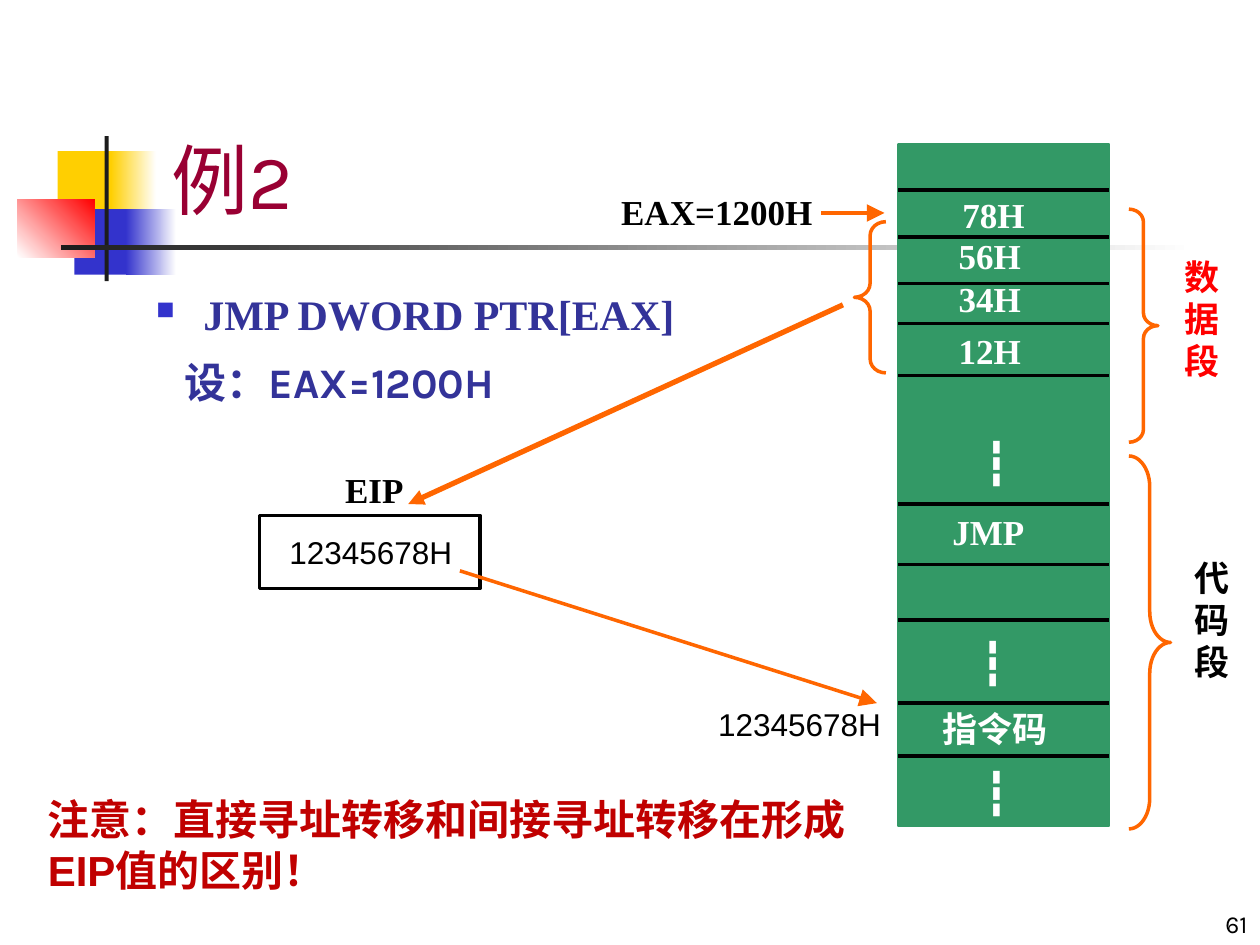
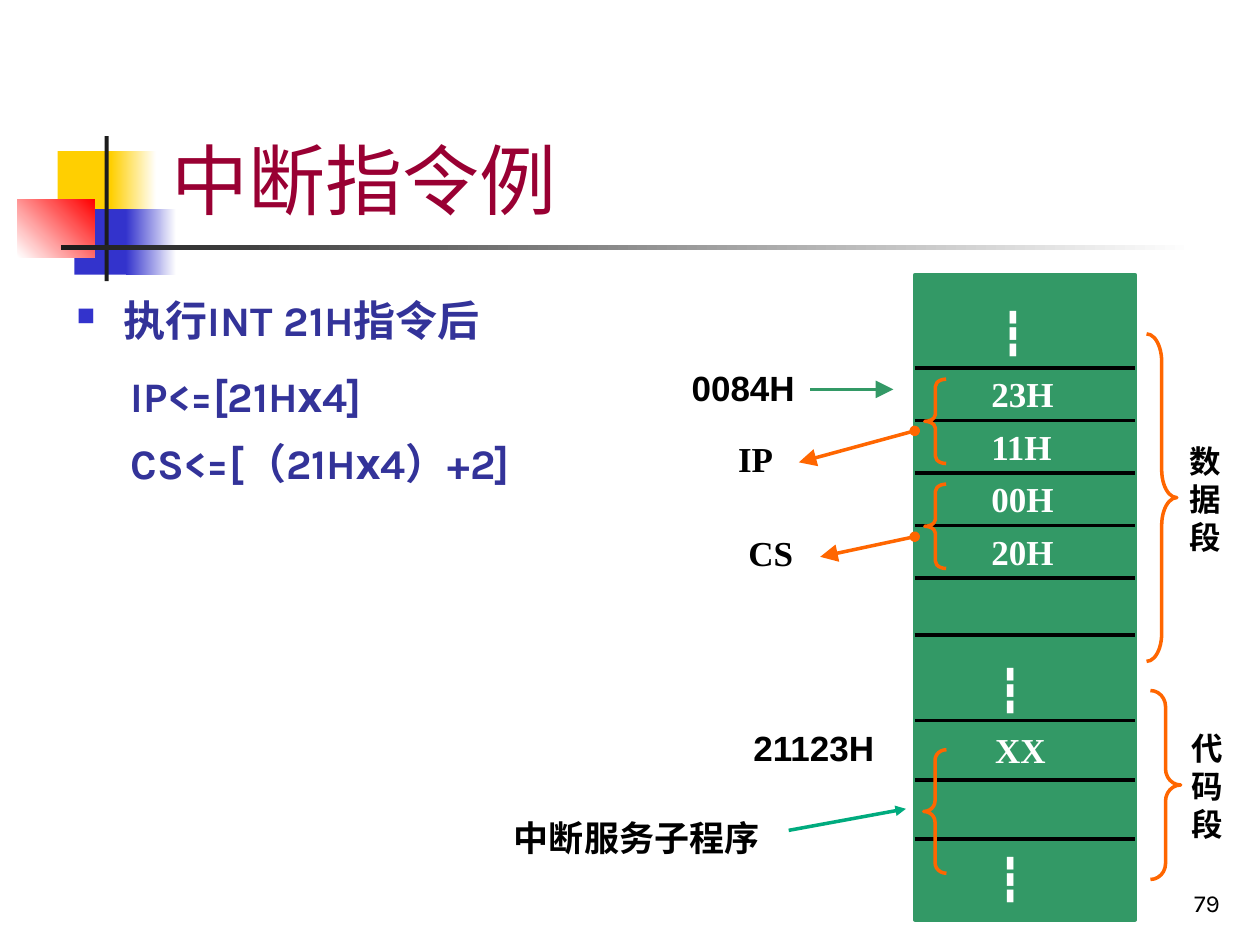
from lxml.etree import SubElement
from pptx import Presentation
from pptx.dml.color import RGBColor
from pptx.enum.shapes import MSO_CONNECTOR, MSO_SHAPE
from pptx.enum.text import MSO_ANCHOR, PP_ALIGN
from pptx.oxml.ns import qn
from pptx.util import Pt

WHITE = RGBColor(0xFF, 0xFF, 0xFF)
BLACK = RGBColor(0x00, 0x00, 0x00)
INK = RGBColor(0x1C, 0x1C, 0x1C)
YELLOW = RGBColor(0xFF, 0xCF, 0x01)
BLUE = RGBColor(0x33, 0x33, 0xCC)
NAVY = RGBColor(0x33, 0x33, 0x99)
RED = RGBColor(0xFF, 0x00, 0x00)
DARK_RED = RGBColor(0xC0, 0x00, 0x00)
WINE = RGBColor(0x99, 0x00, 0x33)
GREEN = RGBColor(0x33, 0x99, 0x66)
TEAL = RGBColor(0x00, 0xAB, 0x7E)
ORANGE = RGBColor(0xFF, 0x66, 0x00)

SERIF, SANS, THEME = "Times New Roman", "Arial", "Karla"
LEFT_BRACE, RIGHT_BRACE = MSO_SHAPE.LEFT_BRACE, MSO_SHAPE.RIGHT_BRACE

# Text styles: font values, plus box height, anchor and alignment
STYLES = {
    "title": dict(name=THEME, size=44, color=WINE, height=115.2, anchor=MSO_ANCHOR.BOTTOM),
    "number": dict(name=THEME, size=14, color=BLACK, height=36,
                   anchor=MSO_ANCHOR.BOTTOM, align=PP_ALIGN.RIGHT),
    "cell": dict(name=SERIF, size=20, color=WHITE, bold=True, height=31),
    "dots": dict(name=SERIF, size=24, color=WHITE, bold=True, height=36),
    "label": dict(name=SERIF, size=20, color=BLACK, bold=True, height=31),
    "strong": dict(name=SANS, size=20, color=BLACK, bold=True, height=31),
    "address": dict(name=SANS, size=18, color=BLACK, height=28.8),
    "register": dict(name=SANS, size=18, color=BLACK, height=41.8, anchor=MSO_ANCHOR.MIDDLE),
    "note": dict(name=SANS, size=24, color=DARK_RED, bold=True, height=65.5),
    "data segment": dict(name=SERIF, size=20, color=RED, bold=True, height=79.2),
    "code segment": dict(name=SERIF, size=20, color=BLACK, bold=True, height=79.2),
    "segment": dict(name=SERIF, size=18, color=BLACK, bold=True, height=72,
                    align=PP_ALIGN.CENTER),
}

# Corner ornament: left, top, width, height, colours, gradient angle
ORNAMENT = [
    (33, 86.4, 34.6, 37.4, [YELLOW], 0),
    (63.4, 86.4, 25.9, 37.4, [YELLOW, WHITE], 0),
    (42.5, 119.5, 33.1, 37.4, [BLUE], 0),
    (72, 119.5, 28.8, 37.4, [BLUE, WHITE], 0),
    (10.1, 113.8, 43.9, 33.1, [WHITE, RED], 45),
    (59.8, 77.8, 2.3, 82.8, [INK], 0),
    (34.6, 140.2, 648, 2.4, [INK, WHITE], 0),
]

# body lines: text, font, first-line indent without bullet (None = bullet), space after
# texts: text, left, top, width, style
# braces: kind, left, top, width, height, curl
# arrows: start, end, colour, line width, head size, start mark
CELL_STEP = 30
FIRST_CELL = 210.2
SLIDES = [
    dict(
        title="例2", number=("61", 570.2, 504, 149.8),
        body=(82.1, 157, 393.1, 116.6, 1.15),
        lines=[("JMP DWORD PTR[EAX]", SERIF, None, 1.4),
               ("设：EAX=1200H", THEME, 16.5, 1.4)],
        memory=(513.4, 82.8, 120.2, 388.8),
        rules=[108.7, 135.4, 162, 185, 214.6, 288, 322.6, 354.2, 401.8, 432],
        register=(148.3, 294.5, 126, 41.8),
        texts=[
            ("78H", 542.9, 107.3, 84.2, "cell"),
            ("56H", 540.7, 130.3, 84.2, "cell"),
            ("34H", 540.7, 154.8, 84.2, "cell"),
            ("12H", 540.7, 185, 84.2, "cell"),
            ("JMP", 537.1, 288, 84.2, "cell"),
            ("指令码", 531.4, 401, 102.2, "cell"),
            ("┇", 555.1, 246.2, 41.8, "dots"),
            ("┇", 553, 360, 41.8, "dots"),
            ("┇", 555.1, 434.2, 41.8, "dots"),
            ("数据段", 669.6, 142.6, 36.7, "data segment"),
            ("代码段", 675.4, 314.6, 41.8, "code segment"),
            ("EAX=1200H", 347.8, 105.1, 126, "label"),
            ("EIP", 190.1, 264.2, 51.1, "label"),
            ("12345678H", 158.3, 294.5, 116, "register"),
            ("12345678H", 403.2, 399.6, 108.7, "address"),
            ("注意：直接寻址转移和间接寻址转移在形成EIP值的区别！", 20.2, 450, 478.8, "note"),
        ],
        braces=[
            (RIGHT_BRACE, 645.1, 119.5, 16.6, 133.2, 0.44),
            (RIGHT_BRACE, 645.1, 260.6, 23.8, 213.1, 0.74),
            (LEFT_BRACE, 488.2, 126.7, 18, 86.4, 0.44),
        ],
        arrows=[
            ((469.4, 121.7), (505.4, 121.7), ORANGE, 2, "lg", None),
            ((481.7, 174.2), (233.3, 288), ORANGE, 3, "med", None),
            ((262.8, 326.2), (501.1, 401.8), ORANGE, 2, "lg", None),
        ],
    ),
    dict(
        title="中断指令例", number=("79", 554.4, 491.8, 149.8),
        body=(36.7, 162, 329.8, 238.3, 1.1),
        lines=[("执行INT 21H指令后", THEME, None, 7.2),
               ("IP<=[21Hх4]", THEME, 31, 2.4),
               ("CS<=[（21Hх4）+2]", THEME, 31, 1.4)],
        memory=(522.7, 157, 126, 368.6),
        rules=[FIRST_CELL + CELL_STEP * row for row in range(5)]
        + [362.9, 411.8, 445.7, 479.5],
        register=None,
        texts=[(value, 559.4, FIRST_CELL - 0.7 + CELL_STEP * row, 84.2, "cell")
               for row, value in enumerate(["23H", "11H", "00H", "20H"])] + [
            ("XX", 561.6, 412.6, 72.7, "cell"),
            ("┇", 564.5, 171.4, 41.8, "dots"),
            ("┇", 563, 375.8, 41.8, "dots"),
            ("┇", 563, 483.8, 41.8, "dots"),
            ("数据段", 671, 249.1, 36, "segment"),
            ("代码段", 671.8, 413.3, 36, "segment"),
            ("0084H", 388.1, 206, 90, "strong"),
            ("21123H", 423.4, 411.8, 90, "strong"),
            ("中断服务子程序", 286.6, 463, 187.2, "strong"),
            ("IP", 414.7, 246.2, 48.2, "label"),
            ("CS", 420.5, 300.2, 54, "label"),
        ],
        braces=[
            (LEFT_BRACE, 528.5, 216.7, 12.2, 48.2, 0.33),
            (LEFT_BRACE, 528.5, 276.7, 12.2, 48.2, 0.33),
            (LEFT_BRACE, 527.8, 428.4, 13, 70.6, 0.46),
            (RIGHT_BRACE, 655.2, 190.8, 17.3, 187.2, 0.92),
            (RIGHT_BRACE, 657.4, 394.6, 17.3, 108, 0.53),
        ],
        arrows=[
            ((462.9, 222.5), (510.5, 222.5), GREEN, 2, "lg", None),
            ((522.7, 246.2), (456.5, 264.2), ORANGE, 2, "lg", "oval"),
            ((522.7, 306.7), (468.7, 318.2), ORANGE, 2, "lg", "oval"),
            ((450.7, 474.5), (517.7, 462.2), TEAL, 2, "med", None),
        ],
    ),
]


def points(*values):
    return [Pt(value) for value in values]


def add_figure(page, kind, frame, fills=(), line=None, angle=0):
    """Preset shape with no, one or two fill colours and an optional 2 pt line."""
    figure = page.shapes.add_shape(kind, *points(*frame))
    figure.shadow.inherit = False
    if len(fills) == 2:
        figure.fill.gradient()
        figure.fill.gradient_angle = angle
        for stop, color in zip(figure.fill.gradient_stops, fills):
            stop.color.rgb = color
    elif fills:
        figure.fill.solid()
        figure.fill.fore_color.rgb = fills[0]
    else:
        figure.fill.background()
    if line is None:
        figure.line.fill.background()
    else:
        figure.line.color.rgb = line
        figure.line.width = Pt(2)
    return figure


def add_line(page, start, end, color, width=2):
    line = page.shapes.add_connector(MSO_CONNECTOR.STRAIGHT, *points(*start, *end))
    line.line.color.rgb = color
    line.line.width = Pt(width)
    SubElement(line._element.spPr, qn("a:effectLst"))
    return line


def add_arrow(page, start, end, color, width, size, mark):
    outline = add_line(page, start, end, color, width).line._get_or_add_ln()
    if mark:
        SubElement(outline, qn("a:headEnd"), type=mark)
    SubElement(outline, qn("a:tailEnd"), type="triangle", w=size, len=size)


def format_font(font, values):
    for key in ("name", "size", "bold"):
        if key in values:
            setattr(font, key, Pt(values[key]) if key == "size" else values[key])
    font.color.rgb = values["color"]


def add_text(page, text, left, top, width, style):
    values = STYLES[style]
    box = page.shapes.add_textbox(*points(left, top, width, values["height"]))
    frame = box.text_frame
    frame.word_wrap = True
    frame.vertical_anchor = values.get("anchor", MSO_ANCHOR.TOP)
    para = frame.paragraphs[0]
    para.alignment = values.get("align", PP_ALIGN.LEFT)
    span = para.add_run()
    span.text = text
    format_font(span.font, values)


def set_indent(para, indent):
    """Square bullet with hanging indent, or a plain indent."""
    properties = para._p.get_or_add_pPr()
    if indent is not None:
        properties.set("marL", str(Pt(indent)))
        properties.set("indent", "0")
        return
    properties.set("marL", str(Pt(27)))
    properties.set("indent", str(-Pt(27)))
    color = SubElement(properties, qn("a:buClr"))
    SubElement(color, qn("a:srgbClr"), val=str(BLUE))
    SubElement(properties, qn("a:buSzPct"), val="60000")
    SubElement(properties, qn("a:buChar"), char="■")


def add_body(page, left, top, width, height, spacing, lines):
    frame = page.shapes.add_textbox(*points(left, top, width, height)).text_frame
    frame.word_wrap = True
    for index, (text, font, indent, after) in enumerate(lines):
        para = frame.add_paragraph() if index else frame.paragraphs[0]
        set_indent(para, indent)
        para.line_spacing = spacing
        para.space_before = Pt(4.2 if index else 0)
        para.space_after = Pt(after)
        span = para.add_run()
        span.text = text
        format_font(span.font, dict(name=font, size=24, bold=True, color=NAVY))


def build_page(deck, content):
    page = deck.slides.add_slide(deck.slide_layouts[6])
    # Shared frame: ornament, title, page number
    for *frame, colors, angle in ORNAMENT:
        add_figure(page, MSO_SHAPE.RECTANGLE, frame, colors, angle=angle)
    add_text(page, content["title"], 90.7, 16.6, 613.4, "title")
    add_text(page, *content["number"], "number")
    add_body(page, *content["body"], content["lines"])
    # Memory column and its cell borders
    left, _, width, _ = content["memory"]
    add_figure(page, MSO_SHAPE.RECTANGLE, content["memory"], [GREEN], GREEN)
    for y in content["rules"]:
        add_line(page, (left, y), (left + width, y), BLACK)
    # Register, labels, braces and arrows
    if content["register"]:
        add_figure(page, MSO_SHAPE.RECTANGLE, content["register"], line=BLACK)
    for text in content["texts"]:
        add_text(page, *text)
    for kind, *frame, curl in content["braces"]:
        brace = add_figure(page, kind, frame, line=ORANGE)
        brace.adjustments[0] = curl
    for arrow in content["arrows"]:
        add_arrow(page, *arrow)


def main():
    deck = Presentation()
    deck.slide_width, deck.slide_height = points(720, 540)
    for content in SLIDES:
        build_page(deck, content)
    deck.save("out.pptx")


if __name__ == "__main__":
    main()
